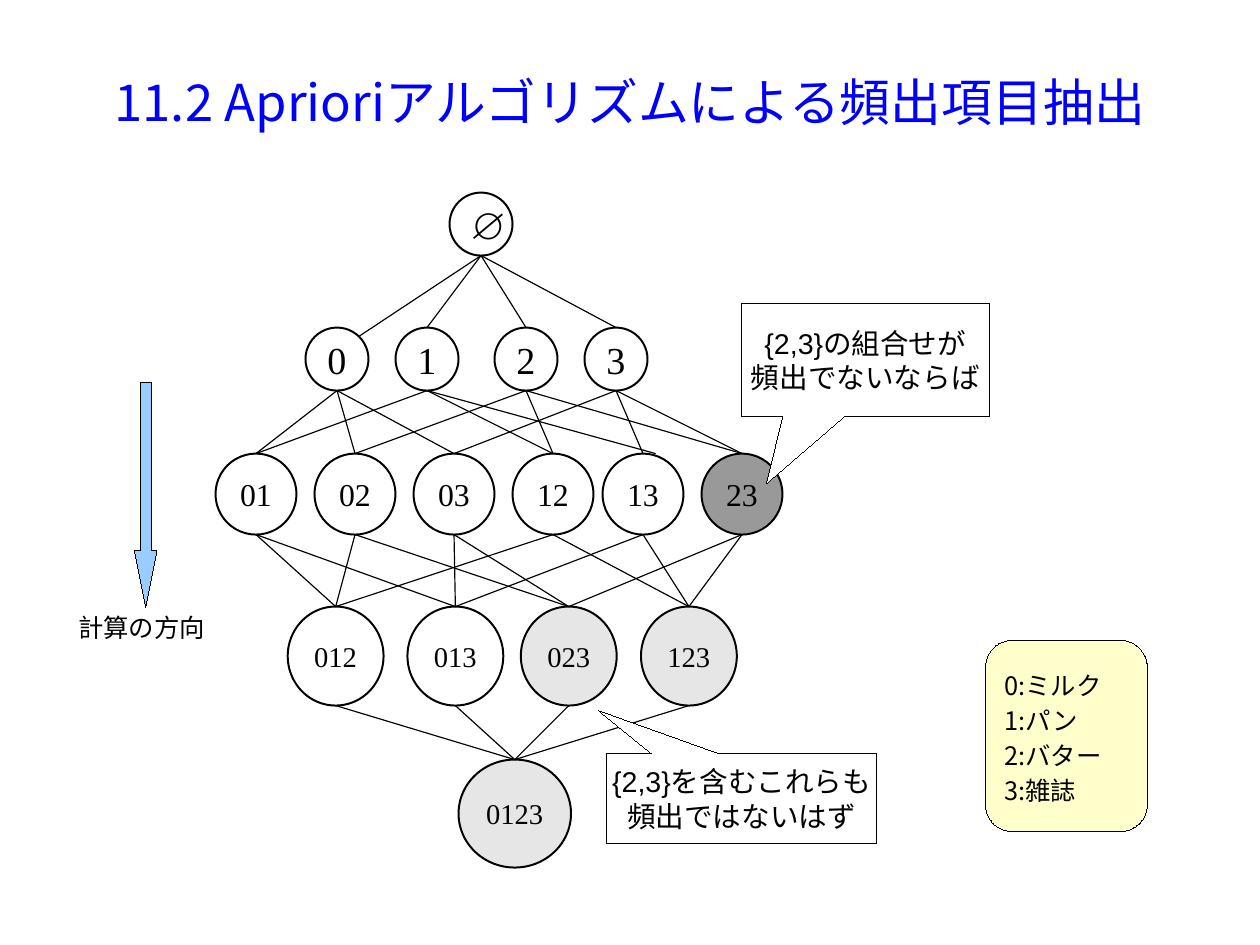
import itertools
from dataclasses import dataclass

import pptx
import pptx.dml.color
import pptx.enum.shapes
import pptx.enum.text
import pptx.oxml.ns
import pptx.util
from lxml import etree

SHAPES = pptx.enum.shapes.MSO_SHAPE
ALIGN = pptx.enum.text.PP_ALIGN
ANCHOR = pptx.enum.text.MSO_ANCHOR
COLUMNS, ROWS = 28, 21
PAGE_WIDTH, PAGE_HEIGHT = pptx.util.Emu(10080625), pptx.util.Emu(7559675)


@dataclass(frozen=True)
class Theme:
    ink: str = "000000"
    title: str = "0000FF"
    paper: str = "FFFFFF"
    infrequent: str = "999999"
    pruned: str = "E6E6E6"
    arrow: str = "99CCFF"
    legend: str = "FFFFCC"
    sans: str = "Arial"
    japanese: str = "Noto Sans CJK JP"
    serif: str = "Times New Roman"
    title_size: int = 32
    callout_size: int = 18
    small_size: int = 16
    node_line: float = 1.25
    edge_line: float = 0.75


THEME = Theme()


@dataclass(frozen=True)
class Box:
    """A rectangle in columns and rows of the page grid."""
    left: float
    top: float
    width: float
    height: float

    def inner(self, left, top, width, height):
        return Box(self.left + left, self.top + top, width, height)

    def lengths(self):
        return (*point(self.left, self.top), *point(self.width, self.height))


@dataclass(frozen=True)
class Level:
    """One row of item sets; centres are measured from the lattice's left."""
    top: float
    width: float
    height: float
    size: int
    centres: dict


LEVELS = [
    Level(0, 1.4, 1.4, 24, {"": 5.9}),
    Level(3, 1.4, 1.4, 24, {"0": 2.7, "1": 4.7, "2": 6.9, "3": 8.9}),
    Level(5.8, 1.8, 1.8, 20, {"01": 0.9, "02": 3.1, "03": 5.3,
                              "12": 7.5, "13": 9.5, "23": 11.7}),
    Level(9.2, 2.13, 2.2, 18, {"012": 2.67, "013": 5.33, "023": 7.85, "123": 10.52}),
    Level(12.6, 2.5, 2.4, 18, {"0123": 6.65}),
]
# Edges that land beside the top of their node
LANDINGS = {("", "0"): (0.48, 0.2), ("1", "13"): (0.28, 0)}


def point(column, row):
    return round(column * PAGE_WIDTH / COLUMNS), round(row * PAGE_HEIGHT / ROWS)


def colour(value):
    return pptx.dml.color.RGBColor.from_string(value)


def write(shape, text, *, size, font, ink=THEME.ink, align=ALIGN.CENTER,
          anchor=ANCHOR.MIDDLE, wrap=False, spacing=None):
    frame = shape.text_frame
    frame.word_wrap = wrap
    frame.vertical_anchor = anchor
    for index, line in enumerate(text.split("\n")):
        para = frame.add_paragraph() if index else frame.paragraphs[0]
        para.alignment = align
        if spacing:
            para.line_spacing = spacing
        span = para.add_run()
        span.text = line
        span.font.size = pptx.util.Pt(size)
        span.font.color.rgb = colour(ink)
        span.font.name = font
        east_asian = etree.SubElement(span.font._element, pptx.oxml.ns.qn("a:ea"))
        east_asian.set("typeface", font)


def add_figure(page, kind, box, fill=None, line=0, adjustments=()):
    shape = page.shapes.add_shape(kind, *box.lengths())
    shape.shadow.inherit = False
    if fill:
        shape.fill.solid()
        shape.fill.fore_color.rgb = colour(fill)
    else:
        shape.fill.background()
    shape.line.color.rgb = colour(THEME.ink)
    # A width of zero has to be written out to give a hairline
    outline = shape._element.spPr.find(pptx.oxml.ns.qn("a:ln"))
    outline.set("w", str(int(pptx.util.Pt(line))))
    for index, value in enumerate(adjustments):
        shape.adjustments[index] = value
    return shape


def add_edge(page, start, end):
    edge = page.shapes.add_connector(pptx.enum.shapes.MSO_CONNECTOR.STRAIGHT,
                                     *point(*start), *point(*end))
    edge.line.color.rgb = colour(THEME.ink)
    edge.line.width = pptx.util.Pt(THEME.edge_line)
    etree.SubElement(edge._element.spPr, pptx.oxml.ns.qn("a:effectLst"))


def add_title(page, box, text):
    title = page.shapes.title
    title.left, title.top, title.width, title.height = box.lengths()
    frame = title.text_frame
    frame.margin_left = frame.margin_right = frame.margin_top = frame.margin_bottom = 0
    write(title, text, size=THEME.title_size, font=THEME.japanese,
          ink=THEME.title, wrap=True)


def node_fill(items):
    if items == "23":
        return THEME.infrequent
    return THEME.pruned if set("23") < set(items) else None


def add_lattice(page, box):
    # Item sets, one circle each
    for level in LEVELS:
        for items, centre in level.centres.items():
            place = box.inner(centre - level.width / 2, level.top,
                              level.width, level.height)
            node = add_figure(page, SHAPES.OVAL, place, node_fill(items), THEME.node_line)
            write(node, items or "∅", size=level.size, font=THEME.serif,
                  wrap=len(items) < 4)
    # Every set is joined to its supersets one level below
    for upper, lower in itertools.pairwise(LEVELS):
        for small, large in itertools.product(upper.centres, lower.centres):
            if set(small) < set(large):
                across, down = LANDINGS.get((small, large), (0, 0))
                add_edge(page,
                         (box.left + upper.centres[small],
                          box.top + upper.top + upper.height),
                         (box.left + lower.centres[large] + across,
                          box.top + lower.top + down))


def add_callout(page, box, text, tip):
    callout = add_figure(page, SHAPES.RECTANGULAR_CALLOUT, box, THEME.paper,
                         adjustments=tip)
    write(callout, text, size=THEME.callout_size, font=THEME.sans)


def add_legend(page, box, text):
    legend = add_figure(page, SHAPES.ROUNDED_RECTANGLE, box, THEME.legend)
    write(legend, text, size=THEME.small_size, font=THEME.japanese,
          align=ALIGN.LEFT, wrap=True, spacing=1.15)


def add_direction(page, box, text):
    add_figure(page, SHAPES.DOWN_ARROW, box.inner(1.5, 0, 0.5, 5), THEME.arrow,
               adjustments=(0.5, 2.5))
    label = page.shapes.add_textbox(*box.inner(0, 5, box.width, 1.1).lengths())
    write(label, text, size=THEME.small_size, font=THEME.sans,
          align=ALIGN.LEFT, anchor=ANCHOR.TOP)
    label.text_frame.auto_size = pptx.enum.text.MSO_AUTO_SIZE.SHAPE_TO_FIT_TEXT


def main():
    deck = pptx.Presentation()
    deck.slide_width, deck.slide_height = PAGE_WIDTH, PAGE_HEIGHT
    page = deck.slides.add_slide(deck.slide_layouts.get_by_name("Title Only"))
    add_title(page, Box(1.4, 1, 25.2, 2.5), "11.2 Aprioriアルゴリズムによる頻出項目抽出")
    add_lattice(page, Box(4.79, 4.28, 12.6, 15))
    add_callout(page, Box(16.48, 6.75, 5.5, 2.5),
                "{2,3}の組合せが\n頻出でないならば", (-0.4, 1.1))
    add_callout(page, Box(13.48, 16.75, 6, 2),
                "{2,3}を含むこれらも\n頻出ではないはず", (-0.53, -0.98))
    add_legend(page, Box(21.9, 14.23, 3.6, 4.25), "0:ミルク\n1:パン\n2:バター\n3:雑誌")
    add_direction(page, Box(1.49, 8.49, 3.33, 6.1), "計算の方向")
    deck.save("out.pptx")


if __name__ == "__main__":
    main()
